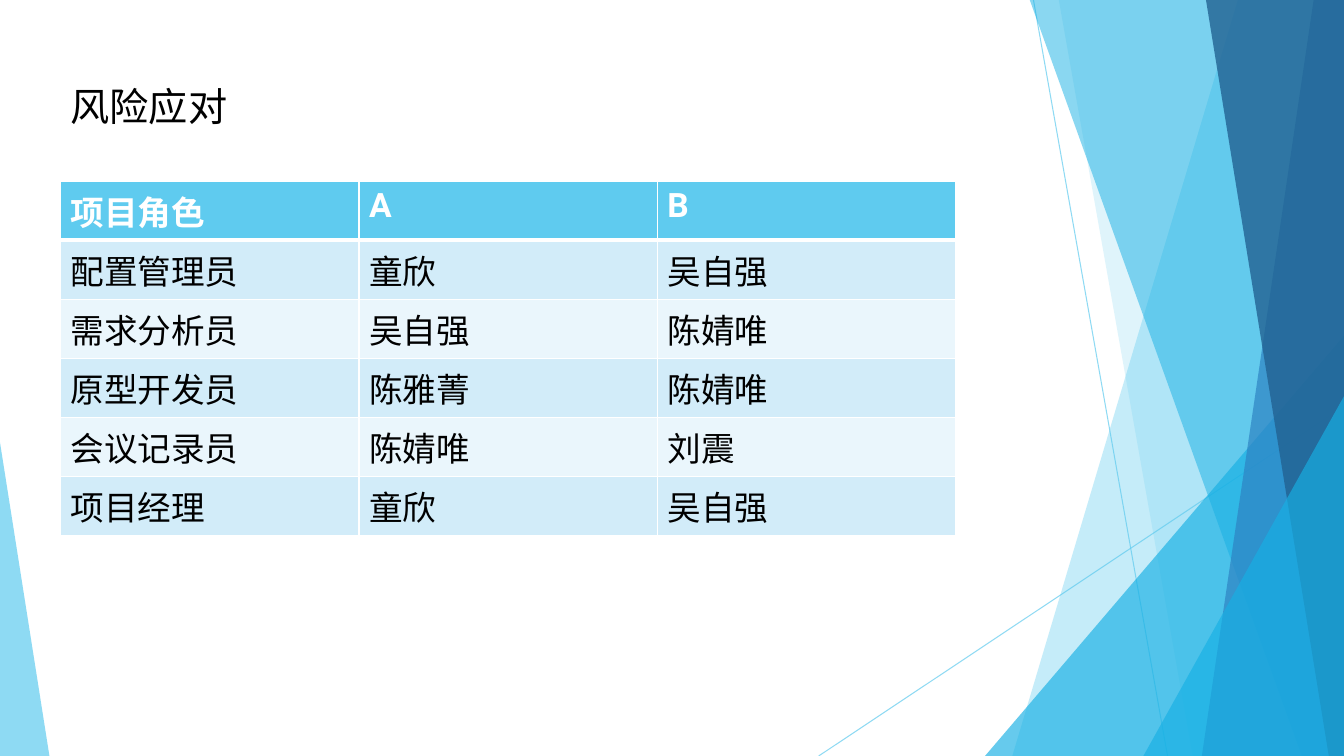
from lxml.etree import SubElement
from pptx import Presentation
from pptx.dml.color import RGBColor
from pptx.enum.shapes import MSO_CONNECTOR as Connector, MSO_SHAPE as Shape
from pptx.enum.text import MSO_ANCHOR as Anchor, PP_ALIGN as Align
from pptx.oxml.ns import qn
from pptx.util import Inches, Pt

SKY = RGBColor(0x5F, 0xCB, 0xEF)
CYAN = RGBColor(0x17, 0xB0, 0xE4)
BLUE = RGBColor(0x2E, 0x83, 0xC3)
NAVY = RGBColor(0x22, 0x62, 0x92)
BAND_DARK = RGBColor(0xD2, 0xEC, 0xF9)
BAND_LIGHT = RGBColor(0xEA, 0xF6, 0xFC)
WHITE = RGBColor(0xFF, 0xFF, 0xFF)
BLACK = RGBColor(0, 0, 0)

WIDTH, HEIGHT = 13.33, 7.5
CJK_FONT, LATIN_FONT = "Noto Sans CJK SC", "Roboto"

ROLES = [
    ["项目角色", "A", "B"],
    ["配置管理员", "童欣", "吴自强"],
    ["需求分析员", "吴自强", "陈婧唯"],
    ["原型开发员", "陈雅菁", "陈婧唯"],
    ["会议记录员", "陈婧唯", "刘震"],
    ["项目经理", "童欣", "吴自强"],
]
ROW_HEIGHTS = [0.5, 0.59, 0.54, 0.5, 0.5, 0.5]


def set_opacity(element, percent):
    color = next(element.iter(qn("a:srgbClr")))
    SubElement(color, qn("a:alpha"), val=str(percent * 1000))


def paint(shape, color, opacity):
    shape.shadow.inherit = False
    shape.fill.solid()
    shape.fill.fore_color.rgb = color
    set_opacity(shape.fill._xPr, opacity)
    shape.line.fill.background()


def add_thin_line(slide, start, end):
    line = slide.shapes.add_connector(
        Connector.STRAIGHT, *[Inches(value) for value in (*start, *end)])
    line.line.color.rgb = SKY
    line.line.width = Pt(0.75)
    properties = line._element.spPr
    set_opacity(properties, 70)
    SubElement(properties, qn("a:effectLst"))


def add_shard(slide, top_x, bottom_x, color, opacity):
    """A band from a slanted left edge to the right side of the slide."""
    top = -0.01
    corners = [(WIDTH, top), (WIDTH, HEIGHT), (bottom_x, HEIGHT)]
    builder = slide.shapes.build_freeform(Inches(top_x), Inches(top))
    builder.add_line_segments([(Inches(x), Inches(y)) for x, y in corners])
    paint(builder.convert_to_shape(), color, opacity)


def add_corner(slide, left, top, width, apex, color, opacity):
    """A triangle standing on the bottom edge of the slide."""
    triangle = slide.shapes.add_shape(
        Shape.ISOSCELES_TRIANGLE, Inches(left), Inches(top),
        Inches(width), Inches(HEIGHT - top))
    triangle.adjustments[0] = apex
    paint(triangle, color, opacity)


def format_run(run, size, color, font, bold=False):
    run.font.size = Pt(size)
    run.font.bold = bold
    run.font.color.rgb = color
    run.font.name = font
    SubElement(run._r.get_or_add_rPr(), qn("a:ea"), typeface=CJK_FONT)


def add_title(slide, text):
    title = slide.shapes.title
    title.left, title.top = Inches(0.6), Inches(0.77)
    title.width, title.height = Inches(2.74), Inches(0.57)
    text_frame = title.text_frame
    text_frame.text = text
    text_frame.vertical_anchor = Anchor.TOP
    paragraph = text_frame.paragraphs[0]
    paragraph.alignment = Align.LEFT
    format_run(paragraph.runs[0], 28, BLACK, CJK_FONT)


def set_borders(cell, bottom_width):
    properties = cell._tc.get_or_add_tcPr()
    for side, width in (("L", 1), ("R", 1), ("T", 1), ("B", bottom_width)):
        border = SubElement(properties, qn(f"a:ln{side}"), w=str(Pt(width)))
        fill = SubElement(border, qn("a:solidFill"))
        SubElement(fill, qn("a:srgbClr"), val=str(WHITE))


def format_cell(cell, text, row_index):
    header = row_index == 0
    set_borders(cell, 3 if header else 1)
    cell.fill.solid()
    band = BAND_DARK if row_index % 2 else BAND_LIGHT
    cell.fill.fore_color.rgb = SKY if header else band
    cell.text_frame.text = text
    format_run(cell.text_frame.paragraphs[0].runs[0], 24,
               WHITE if header else BLACK, LATIN_FONT, header)


def add_role_table(slide):
    table = slide.shapes.add_table(
        len(ROLES), len(ROLES[0]), Inches(0.6), Inches(1.8),
        Inches(8.88), Inches(sum(ROW_HEIGHTS))).table
    for row_index, (names, height) in enumerate(zip(ROLES, ROW_HEIGHTS)):
        table.rows[row_index].height = Inches(height)
        for column_index, name in enumerate(names):
            format_cell(table.cell(row_index, column_index), name, row_index)


def add_backdrop(slide):
    add_thin_line(slide, (10.25, 0), (11.58, HEIGHT))
    add_thin_line(slide, (WIDTH, 4.03), (8.12, HEIGHT))
    add_shard(slide, 12.28, 10.04, SKY, 36)
    add_shard(slide, 10.5, 11.83, SKY, 20)
    add_corner(slide, 9.77, 3.33, 3.56, 1, CYAN, 66)
    add_shard(slide, 10.21, 12.91, CYAN, 50)
    add_shard(slide, 13.03, 11.92, BLUE, 70)
    add_shard(slide, 11.96, 13.18, NAVY, 80)
    add_corner(slide, 11.34, 3.93, 1.99, 1, CYAN, 66)
    add_corner(slide, 0, 4.39, 0.49, 0, SKY, 70)


def main():
    presentation = Presentation()
    presentation.slide_width = Inches(WIDTH)
    presentation.slide_height = Inches(HEIGHT)
    title_only = presentation.slide_layouts[5]
    slide = presentation.slides.add_slide(title_only)

    add_backdrop(slide)
    add_title(slide, "风险应对")
    add_role_table(slide)
    presentation.save("out.pptx")


if __name__ == "__main__":
    main()
